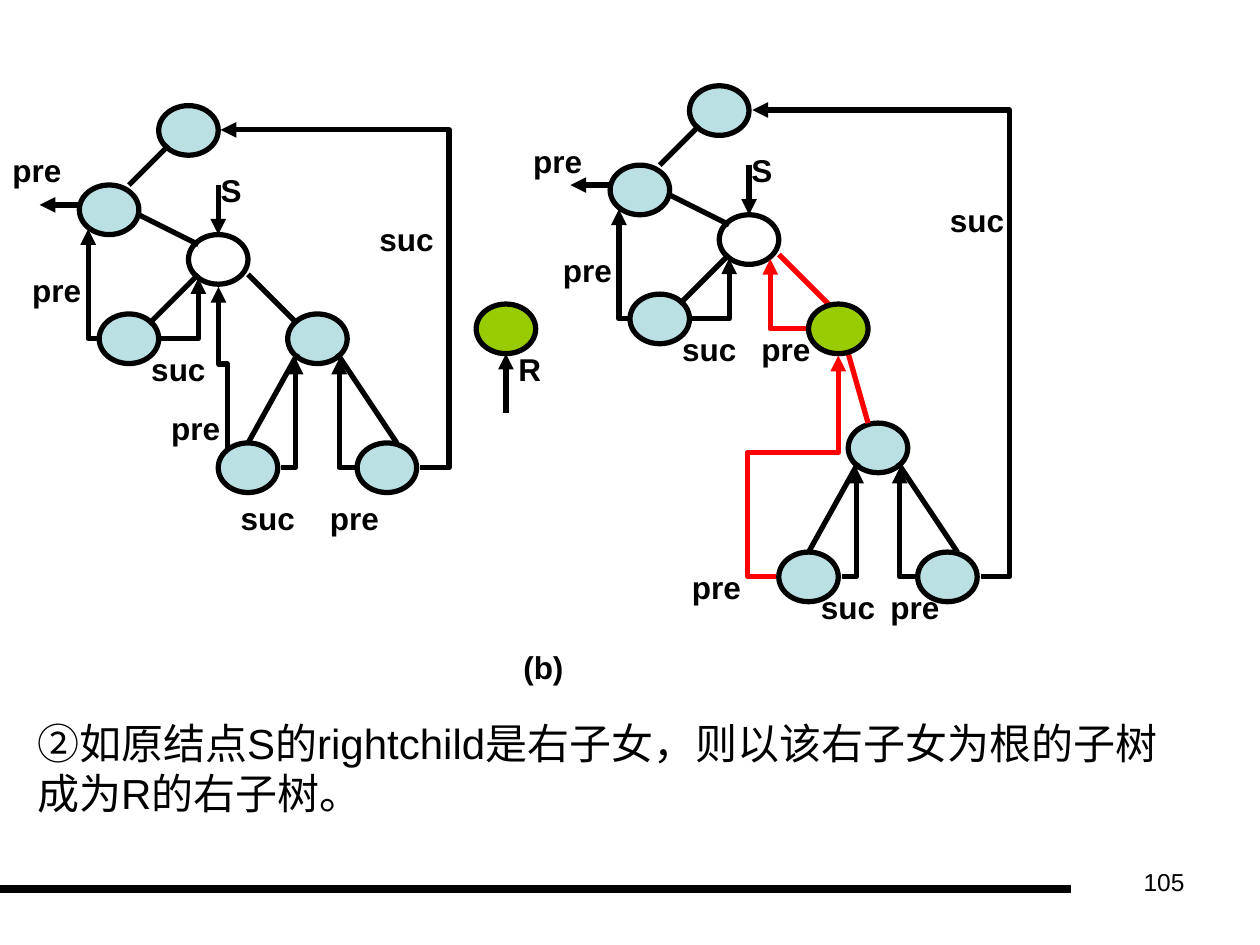
from dataclasses import dataclass
from typing import Optional

import lxml.etree
import pptx
import pptx.dml.color
import pptx.enum.shapes
import pptx.enum.text
import pptx.oxml.ns
import pptx.shapes.connector
import pptx.slide
import pptx.util

BLACK = pptx.dml.color.RGBColor(0x00, 0x00, 0x00)
RED = pptx.dml.color.RGBColor(0xFF, 0x00, 0x00)
BLUE = pptx.dml.color.RGBColor(0xBB, 0xE0, 0xE3)
GREEN = pptx.dml.color.RGBColor(0x99, 0xCC, 0x00)
FONT = "Arial"
NODE_WIDTH, NODE_HEIGHT = 1.2, 1.0
LABEL_HEIGHT = 1.02


@dataclass(frozen=True)
class Node:
    left: float
    top: float
    fill: Optional[pptx.dml.color.RGBColor] = BLUE


@dataclass(frozen=True)
class Link:
    begin: tuple[float, float]
    end: tuple[float, float]
    color: pptx.dml.color.RGBColor = BLACK
    arrow: bool = False
    bend: str = ""
    adjustments: tuple[float, ...] = ()
    rotation: int = 0
    width: float = 3


@dataclass(frozen=True)
class Label:
    text: str
    left: float
    top: float
    width: float = 2.0
    height: float = LABEL_HEIGHT
    size: int = 18
    bold: bool = True
    alignment: pptx.enum.text.PP_ALIGN = pptx.enum.text.PP_ALIGN.LEFT


def corner(begin: tuple[float, float], end: tuple[float, float],
           color: pptx.dml.color.RGBColor = BLACK) -> Link:
    return Link(begin, end, color, True, "bentConnector2")


def upper_tree(right_edge: pptx.dml.color.RGBColor) -> list:
    return [
        Node(3.2, 2.13), Node(1.6, 3.73), Node(3.8, 4.73, None), Node(2.0, 6.33),
        Link((3.4, 2.93), (2.6, 3.73)),
        Link((2.8, 4.33), (4.0, 4.93)),
        Link((4.0, 5.53), (3.0, 6.53)),
        Link((5.0, 5.53), (6.0, 6.53), right_edge),
        Link((4.4, 3.73), (4.4, 4.73), arrow=True),
        Link((1.6, 4.13), (0.8, 4.13), arrow=True),
        corner((3.25, 6.83), (4.0, 5.61)),
        corner((1.96, 6.83), (1.78, 4.62)),
        Label("S", 4.2, 3.33, 1.0),
        Label("suc", 2.8, 6.93),
        Label("pre", 0.4, 5.33),
    ]


SUBTREE = [
    Node(5.8, 6.33), Node(4.4, 8.93), Node(7.2, 8.93),
    Link((6.0, 7.13), (5.0, 8.93)),
    Link((6.8, 7.13), (8.0, 8.93)),
    corner((5.67, 9.43), (5.96, 7.23)),
    corner((7.15, 9.43), (6.84, 7.23)),
]

BEFORE_INSERTION = [
    Link((8.47, 9.43), (4.45, 2.62), BLACK, True, "bentConnector3", (-0.145,)),
    Link((2.87, 7.5), (6.12, 7.32), BLACK, True, "bentConnector3", (0.522,), 270),
    Label("suc", 7.4, 4.32),
    Label("pre", 0, 2.93),
    Label("pre", 3.2, 8.13),
    Label("suc", 4.6, 9.93),
    Label("pre", 6.4, 9.93),
]

NEW_NODE = [
    Node(9.6, 6.13, GREEN),
    Link((10.2, 8.33), (10.2, 7.13), arrow=True),
    Label("R", 10.2, 6.93, 1.0),
]

AFTER_INSERTION = [
    Link((19.77, 11.62), (15.17, 2.22), BLACK, True, "bentConnector3", (-0.127,)),
    Link((17.1, 7.13), (17.5, 8.53), RED),
    Link((15.65, 11.62), (16.9, 7.17), RED, True, "bentConnector4", (-0.464, 0.561)),
    corner((16.25, 6.63), (15.53, 5.22), RED),
    Node(16.3, 6.13, GREEN),
    Label("suc", 18.9, 3.93),
    Label("pre", 10.5, 2.73),
    Label("pre", 15.1, 6.53),
    Label("pre", 13.7, 11.33),
    Label("suc", 16.3, 11.73),
    Label("pre", 17.7, 11.73),
]

CAPTIONS = [
    Label("(b)", 10.3, 12.93, 2.4),
    Label("②如原结点S的rightchild是右子女，则以该右子女为根的子树成为R的右子树。",
          0.5, 14.33, 23.6, 2.29, 24, False),
    Label("105", 18.2, 17.35, 5.93, 1.32, 14, False, pptx.enum.text.PP_ALIGN.RIGHT),
    Link((0, 17.93), (21.6, 17.93), width=4.5),
]


def draw_node(slide: pptx.slide.Slide, node: Node, x: float, y: float) -> None:
    shape = slide.shapes.add_shape(
        pptx.enum.shapes.MSO_SHAPE.OVAL,
        pptx.util.Cm(node.left + x), pptx.util.Cm(node.top + y),
        pptx.util.Cm(NODE_WIDTH), pptx.util.Cm(NODE_HEIGHT))
    shape.shadow.inherit = False
    if node.fill is None:
        shape.fill.background()
    else:
        shape.fill.solid()
        shape.fill.fore_color.rgb = node.fill
    shape.line.color.rgb = BLACK
    shape.line.width = pptx.util.Pt(3)


def bend_connector(connector: pptx.shapes.connector.Connector, link: Link) -> None:
    qn = pptx.oxml.ns.qn
    geometry = connector.element.spPr.find(qn("a:prstGeom"))
    geometry.set("prst", link.bend)
    guides = geometry.find(qn("a:avLst"))
    for number, value in enumerate(link.adjustments, 1):
        name = "adj" if len(link.adjustments) == 0 else f"adj{number}"
        lxml.etree.SubElement(guides, qn("a:gd"), name=name, fmla=f"val {round(value * 100000)}")
    if link.rotation:
        connector.element.spPr.find(qn("a:xfrm")).set("rot", str(link.rotation * 60000))


def draw_link(slide: pptx.slide.Slide, link: Link, x: float, y: float) -> None:
    kinds = pptx.enum.shapes.MSO_CONNECTOR
    connector = slide.shapes.add_connector(
        kinds.ELBOW if link.bend else kinds.STRAIGHT,
        pptx.util.Cm(link.begin[0] + x), pptx.util.Cm(link.begin[1] + y),
        pptx.util.Cm(link.end[0] + x), pptx.util.Cm(link.end[1] + y))
    connector.line.color.rgb = link.color
    connector.line.width = pptx.util.Pt(link.width)
    properties = connector.element.spPr
    if link.bend:
        bend_connector(connector, link)
    if link.arrow:
        line = properties.find(pptx.oxml.ns.qn("a:ln"))
        lxml.etree.SubElement(line, pptx.oxml.ns.qn("a:tailEnd"), type="triangle")
    lxml.etree.SubElement(properties, pptx.oxml.ns.qn("a:effectLst"))


def draw_label(slide: pptx.slide.Slide, label: Label, x: float, y: float) -> None:
    shape = slide.shapes.add_textbox(
        pptx.util.Cm(label.left + x), pptx.util.Cm(label.top + y),
        pptx.util.Cm(label.width), pptx.util.Cm(label.height))
    shape.text_frame.word_wrap = True
    paragraph = shape.text_frame.paragraphs[0]
    paragraph.alignment = label.alignment
    run = paragraph.add_run()
    run.text = label.text
    run.font.name = FONT
    run.font.size = pptx.util.Pt(label.size)
    run.font.bold = label.bold
    run.font.color.rgb = BLACK


def draw_all(slide: pptx.slide.Slide, items: list, x: float = 0, y: float = 0) -> None:
    painters = {Node: draw_node, Link: draw_link, Label: draw_label}
    for item in items:
        painters[type(item)](slide, item, x, y)


def main() -> None:
    presentation = pptx.Presentation()
    presentation.slide_width = pptx.util.Cm(25.4)
    presentation.slide_height = pptx.util.Cm(19.05)
    slide = presentation.slides.add_slide(presentation.slide_layouts[6])
    draw_all(slide, upper_tree(BLACK))
    draw_all(slide, SUBTREE)
    draw_all(slide, BEFORE_INSERTION)
    draw_all(slide, NEW_NODE)
    draw_all(slide, upper_tree(RED), 10.7, -0.4)
    draw_all(slide, SUBTREE, 11.3, 2.2)
    draw_all(slide, AFTER_INSERTION)
    draw_all(slide, CAPTIONS)
    presentation.save("out.pptx")


if __name__ == "__main__":
    main()
